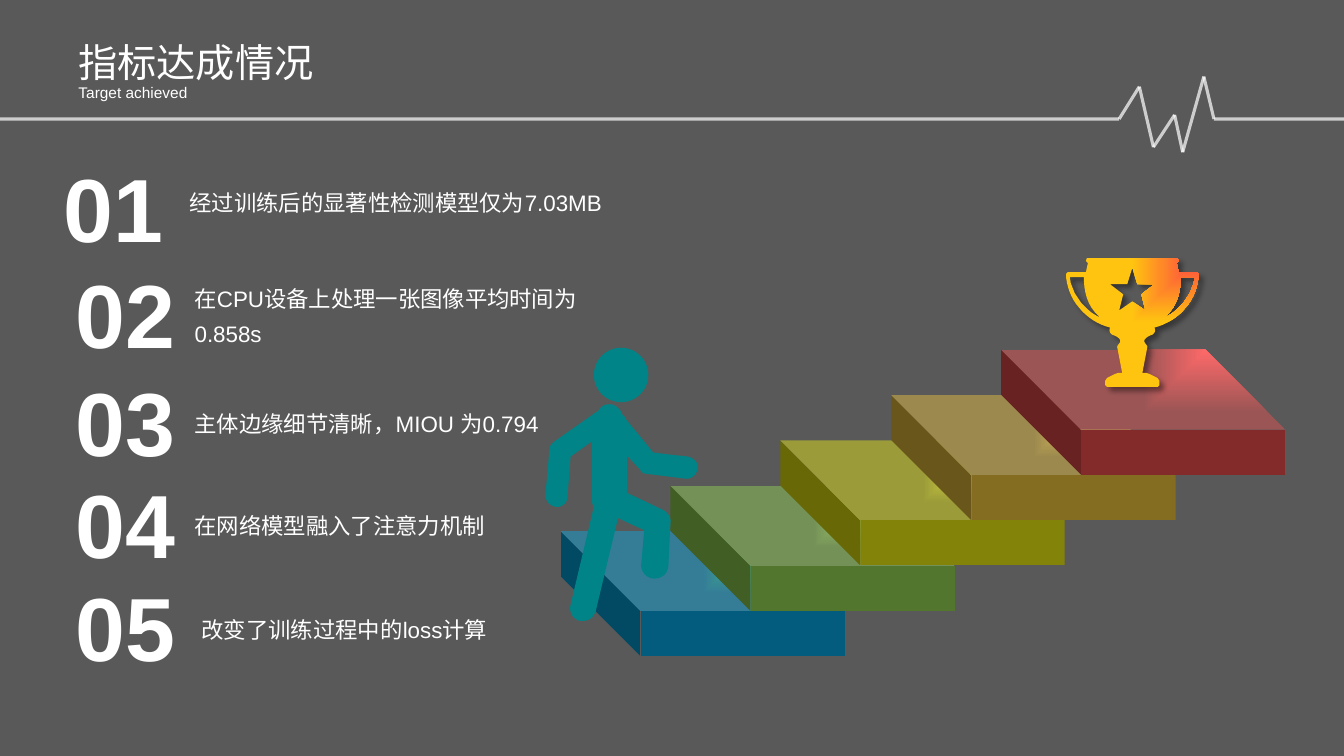
from dataclasses import dataclass
from itertools import pairwise

from pptx import Presentation
from pptx.dml.color import RGBColor
from pptx.enum.shapes import MSO_CONNECTOR, MSO_SHAPE
from pptx.enum.text import MSO_ANCHOR, PP_ALIGN
from pptx.oxml import parse_xml
from pptx.oxml.ns import nsdecls, qn
from pptx.util import Pt

PX = 9144  # 100 px to the inch
CUBE, OVAL, STRAIGHT = MSO_SHAPE.CUBE, MSO_SHAPE.OVAL, MSO_CONNECTOR.STRAIGHT
TOP, MIDDLE, BOTTOM = MSO_ANCHOR.TOP, MSO_ANCHOR.MIDDLE, MSO_ANCHOR.BOTTOM
LEFT, CENTER, JUSTIFY = PP_ALIGN.LEFT, PP_ALIGN.CENTER, PP_ALIGN.JUSTIFY


@dataclass(frozen=True)
class Theme:
    font: str = "Arial"
    background: str = "595959"
    text: str = "FFFFFF"
    figure: str = "008487"
    trophy: tuple = ("FE4444", "FFC40F")
    steps: tuple = (("14CD68", "035C7D"), ("9EE256", "52762D"), ("FBFB11", "838309"),
                    ("FECF40", "846C21"), ("FE4444", "832B2B"))
    title_size: int = 28
    subtitle_size: int = 11
    number_size: int = 64
    item_size: int = 16
    pulse_width: float = 2.25


THEME = Theme()

# Text, text box, line spacing, alignment; then number box, line spacing, alignment
ITEMS = [
    ("经过训练后的显著性检测模型仅为7.03MB", (188, 182, 424, 32), 1.2, JUSTIFY,
     (63, 129, 99, 129), 1.2, JUSTIFY),
    ("在CPU设备上处理一张图像平均时间为0.858s", (193, 275, 428, 70), 1.3, LEFT,
     (75, 256, 99, 108), 1.0, CENTER),
    ("主体边缘细节清晰，MIOU 为0.794", (193, 399, 378, 35), 1.3, LEFT,
     (75, 363, 99, 108), 1.0, CENTER),
    ("在网络模型融入了注意力机制", (193, 500, 378, 35), 1.3, LEFT,
     (75, 464, 99, 108), 1.0, CENTER),
    ("改变了训练过程中的loss计算", (200, 603, 378, 35), 1.3, LEFT,
     (75, 566, 99, 108), 1.0, CENTER),
]

PULSE = [(0, 118), (1110, 118), (1130, 86), (1144, 146), (1165, 114),
         (1173, 151), (1194, 76), (1204, 118), (1333, 118)]

# Outlines: two numbers are a corner, six are a cubic curve
BODY = [
    (11, 158), (17, 158, 22, 154, 22, 147), (25, 108), (46, 93), (46, 150),
    (46, 154, 47, 156, 48, 158), (25, 255), (23, 262, 27, 269, 34, 271), (37, 271),
    (44, 271, 48, 267, 50, 261), (72, 169), (98, 181), (95, 216),
    (95, 222, 100, 229, 108, 229), (116, 229, 121, 224, 122, 217), (124, 174),
    (125, 169, 122, 164, 117, 161), (81, 144), (81, 107), (94, 121),
    (95, 124, 98, 125, 100, 125), (140, 130), (145, 130, 150, 126, 151, 120),
    (152, 114, 147, 109, 141, 108), (107, 104), (80, 71), (79, 69, 78, 67, 76, 66),
    (75, 61, 69, 56, 64, 56), (59, 56, 55, 58, 53, 62), (9, 93),
    (6, 95, 4, 98, 4, 101), (0, 146), (0, 152, 4, 157, 11, 158),
]
HALF_CUP = [
    (66, 0), (21, 0), (20, 3), (22, 5), (20, 14), (2, 14), (0, 16),
    (1, 28, 5, 40, 13, 49), (21, 59, 32, 66, 44, 69), (43, 71, 43, 74, 46, 76),
    (49, 77, 51, 78, 53, 80), (55, 82, 54, 84, 52, 86), (51, 88), (56, 114),
    (52, 114), (49, 115), (41, 119), (39, 122), (39, 126), (41, 128), (66, 128),
]
HALF_STAR = [(66, 10), (61, 26), (44, 26), (57, 36), (53, 52), (66, 43)]
HANDLE = [(4, 19), (18, 19), (18, 31, 20, 47, 34, 59), (28, 56, 25, 54, 22, 51),
          (15, 44), (9, 35), (7, 30), (5, 25)]


def flatten(outline, steps=8):
    """Turn corners and cubic curves into a list of points."""
    points = []
    for part in outline:
        if len(part) == 2:
            points.append(part)
            continue
        curve = [points[-1], part[:2], part[2:4], part[4:]]
        for step in range(1, steps + 1):
            t = step / steps
            weights = ((1 - t) ** 3, 3 * t * (1 - t) ** 2, 3 * t * t * (1 - t), t ** 3)
            points.append(tuple(sum(w * p[axis] for w, p in zip(weights, curve))
                                for axis in (0, 1)))
    return points


def mirror(points, width):
    return [(width - x, y) for x, y in reversed(points)]


def add_outline(page, left, top, contours):
    scaled = [[(x * PX, y * PX) for x, y in contour] for contour in contours]
    builder = page.shapes.build_freeform(*scaled[0][0], scale=1.0)
    builder.add_line_segments(scaled[0][1:], close=True)
    for contour in scaled[1:]:
        builder.move_to(*contour[0])
        builder.add_line_segments(contour[1:], close=True)
    return builder.convert_to_shape(left * PX, top * PX)


def paint(shape, color):
    """Fill without outline or shadow; a pair of colours runs from the top right."""
    shape.line.fill.background()
    shape.shadow.inherit = False
    if isinstance(color, str):
        shape.fill.solid()
        shape.fill.fore_color.rgb = RGBColor.from_string(color)
        return
    shape.fill.background()
    properties = shape._element.spPr
    stops = "".join(f'<a:gs pos="{pos}"><a:srgbClr val="{value}"/></a:gs>'
                    for pos, value in zip((0, 100000), color))
    gradient = parse_xml(
        f'<a:gradFill {nsdecls("a")} rotWithShape="1"><a:gsLst>{stops}</a:gsLst>'
        '<a:path path="rect"><a:fillToRect l="100000" b="100000"/></a:path></a:gradFill>')
    properties.replace(properties.find(qn("a:noFill")), gradient)


def add_text(page, box, text, size, bold=False, anchor=MIDDLE, align=LEFT,
             spacing=1.0, wrap=True, inset=(0, 0)):
    frame = page.shapes.add_textbox(*(length * PX for length in box)).text_frame
    frame.word_wrap = wrap
    frame.vertical_anchor = anchor
    frame.margin_left = frame.margin_right = inset[0] * PX
    frame.margin_top = frame.margin_bottom = inset[1] * PX
    para = frame.paragraphs[0]
    para.alignment = align
    para.line_spacing = spacing
    span = para.add_run()
    span.text = text
    span.font.name = THEME.font
    span.font.size = Pt(size)
    span.font.bold = bold
    span.font.color.rgb = RGBColor.from_string(THEME.text)


def add_header(page, left, top):
    for start, end in pairwise(PULSE):
        line = page.shapes.add_connector(STRAIGHT, *(value * PX for value in start + end))
        line.line.width = Pt(THEME.pulse_width)
        line.line.color.rgb = RGBColor.from_string(THEME.text)
        color = line._element.spPr.find(".//" + qn("a:srgbClr"))
        color.append(parse_xml(f'<a:alpha {nsdecls("a")} val="70000"/>'))
        line._element.spPr.append(parse_xml(f'<a:effectLst {nsdecls("a")}/>'))
    add_text(page, (left, top, 388, 57), "指标达成情况", THEME.title_size,
             anchor=TOP, inset=(10, 5))
    add_text(page, (left, top + 42, 435, 31), "Target achieved", THEME.subtitle_size,
             anchor=TOP, spacing=1.14, inset=(10, 5))


def add_items(page):
    for index, item in enumerate(ITEMS, 1):
        text, box, spacing, align, number_box, number_spacing, number_align = item
        add_text(page, number_box, f"{index:02}", THEME.number_size, bold=True,
                 anchor=BOTTOM, align=number_align, spacing=number_spacing, wrap=False)
        add_text(page, box, text, THEME.item_size, align=align, spacing=spacing)


def add_stairs(page, left, top):
    """Draw the steps upwards from the lowest one, at the given corner."""
    for index, colors in enumerate(THEME.steps):
        step = page.shapes.add_shape(CUBE, (left + round(437 * index / 4)) * PX,
                                     (top - 45 * index) * PX, 282 * PX, 124 * PX)
        step.adjustments[0] = 0.64
        step._element.spPr.find(qn("a:xfrm")).set("flipH", "1")
        paint(step, colors)


def add_climber(page, left, top):
    paint(add_outline(page, left, top, [flatten(BODY)]), THEME.figure)
    head = page.shapes.add_shape(OVAL, (left + 48) * PX, top * PX, 54 * PX, 54 * PX)
    paint(head, THEME.figure)


def add_trophy(page, left, top, width=132):
    halves = [flatten(half) for half in (HALF_CUP, HALF_STAR)]
    handle = flatten(HANDLE)
    contours = [half + mirror(half, width)[1:-1] for half in halves]
    trophy = add_outline(page, left, top, contours + [handle, mirror(handle, width)])
    paint(trophy, THEME.trophy)
    trophy._element.spPr.find(qn("a:effectLst")).append(parse_xml(
        f'<a:outerShdw {nsdecls("a")} blurRad="50800" dist="50800" dir="2700000">'
        '<a:srgbClr val="000000"><a:alpha val="40000"/></a:srgbClr></a:outerShdw>'))


def main():
    deck = Presentation()
    deck.slide_width, deck.slide_height = 1333 * PX, 750 * PX
    page = deck.slides.add_slide(deck.slide_layouts[6])
    page.background.fill.solid()
    page.background.fill.fore_color.rgb = RGBColor.from_string(THEME.background)
    add_header(page, 68, 33)
    add_stairs(page, 556, 527)
    add_items(page)
    add_climber(page, 541, 345)
    add_trophy(page, 1057, 256)
    deck.save("out.pptx")


if __name__ == "__main__":
    main()
